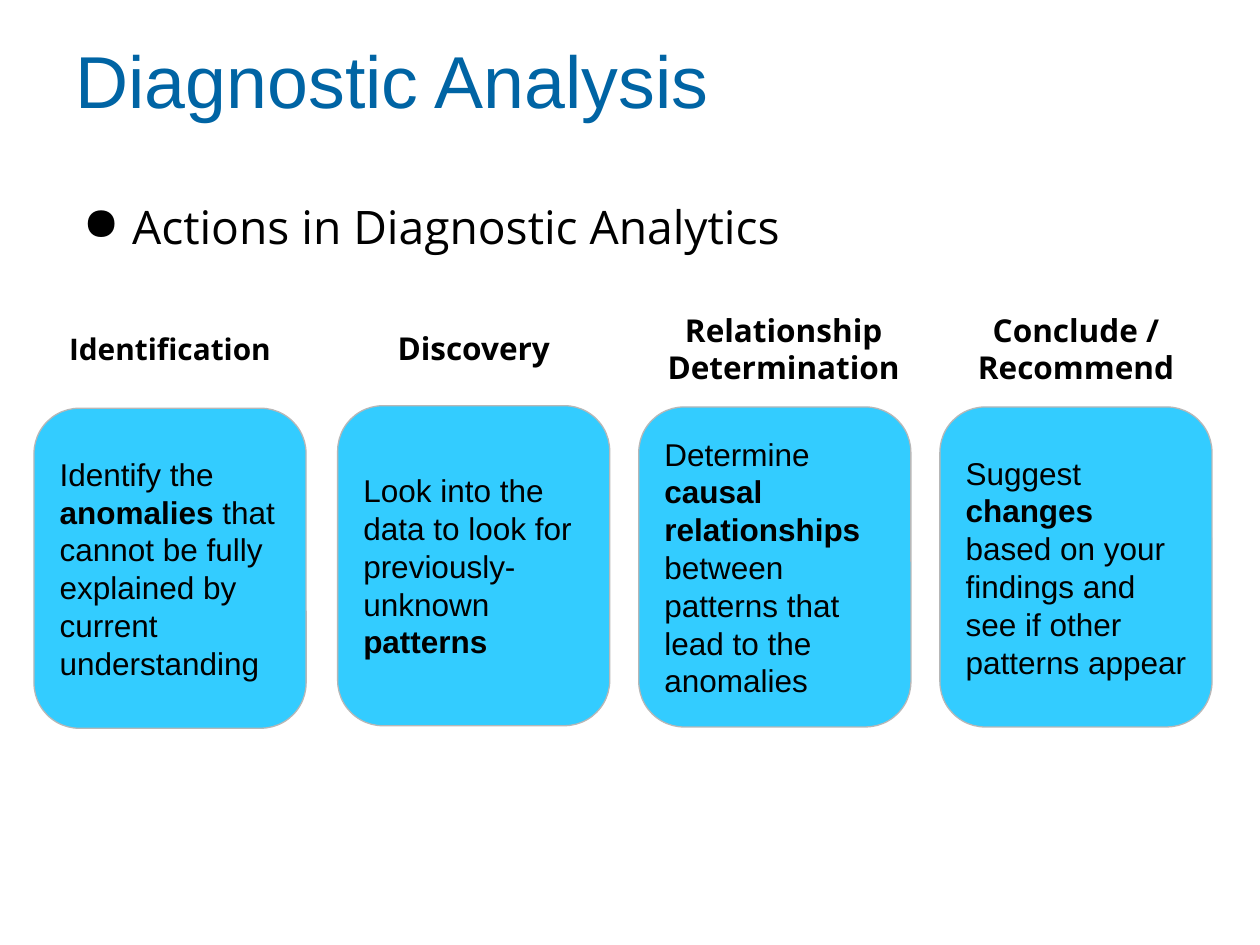
from lxml.etree import SubElement
from pptx import Presentation
from pptx.dml.color import RGBColor
from pptx.enum.shapes import MSO_SHAPE
from pptx.enum.text import MSO_ANCHOR, PP_ALIGN
from pptx.oxml.ns import qn
from pptx.util import Inches, Pt


def color(value):
    return RGBColor.from_string(value)


def write(shape, spans, font, size, text_color="000000", margin=0.1, anchor=MSO_ANCHOR.MIDDLE):
    """Fill a shape with one paragraph of (text, bold) spans and return the paragraph."""
    frame = shape.text_frame
    frame.word_wrap = True
    frame.vertical_anchor = anchor
    frame.margin_left = frame.margin_right = Inches(0.1)
    frame.margin_top = frame.margin_bottom = Inches(margin)
    para = frame.paragraphs[0]
    para.alignment = PP_ALIGN.LEFT
    para.font.name = font
    para.font.size = Pt(size)
    para.font.color.rgb = color(text_color)
    for text, bold in spans:
        span = para.add_run()
        span.text = text
        span.font.bold = bold
    return para


deck = Presentation()
deck.slide_width = Inches(10)
deck.slide_height = Inches(7.5)
page = deck.slides.add_slide(deck.slide_layouts[6])

title = page.shapes.add_textbox(Inches(0.5), Inches(0.19), Inches(9.29), Inches(0.97))
para = write(title, [("Diagnostic Analysis", False)], "Arial", 42, "0064A4", margin=0.05)
para.line_spacing = 0.9

subtitle = page.shapes.add_textbox(Inches(0.45), Inches(1.46), Inches(9.01), Inches(0.84))
para = write(subtitle, [("Actions in Diagnostic Analytics", False)], "Open Sans", 26.4,
             margin=0.05, anchor=MSO_ANCHOR.TOP)
para.line_spacing = 1.15
properties = para._p.get_or_add_pPr()
properties.set("marL", str(Inches(0.5)))
properties.set("indent", str(Inches(-0.39)))
bullet = SubElement(properties, qn("a:buChar"))
bullet.set("char", "●")
# The bullet comes before the default run properties in the schema
properties.insert(1, bullet)

# Card left and top; heading, its left, top, width, height and size; card spans
actions = [
    (0.27, 3.24, "Identification", (0.38, 2.52, 1.94, 0.49), 17,
     [("Identify the ", False), ("anomalies", True),
      (" that cannot be fully explained by current understanding", False)]),
    (2.68, 3.22, "Discovery", (2.79, 2.51, 1.94, 0.5), 18,
     [("Look into the data to look for previously- unknown ", False), ("patterns", True)]),
    (5.07, 3.23, "Relationship Determination", (5.14, 2.36, 2.16, 0.81), 18,
     [("Determine ", False), ("causal relationships", True),
      (" between patterns that lead to the anomalies", False)]),
    (7.46, 3.23, "Conclude / Recommend", (7.46, 2.36, 2.16, 0.81), 18,
     [("Suggest ", False), ("changes", True),
      (" based on your findings and see if other patterns appear", False)]),
]
for left, top, heading, heading_area, heading_size, spans in actions:
    card = page.shapes.add_shape(MSO_SHAPE.ROUNDED_RECTANGLE, Inches(left), Inches(top),
                                 Inches(2.16), Inches(2.54))
    card.shadow.inherit = False
    card.fill.solid()
    card.fill.fore_color.rgb = color("33CCFF")
    card.line.color.rgb = color("B7B7B7")
    card.line.width = Pt(0.75)
    write(card, spans, "Arial", 18)

    label = page.shapes.add_textbox(*[Inches(length) for length in heading_area])
    para = write(label, [(heading, True)], "Open Sans", heading_size)
    para.alignment = PP_ALIGN.CENTER

deck.save("out.pptx")
